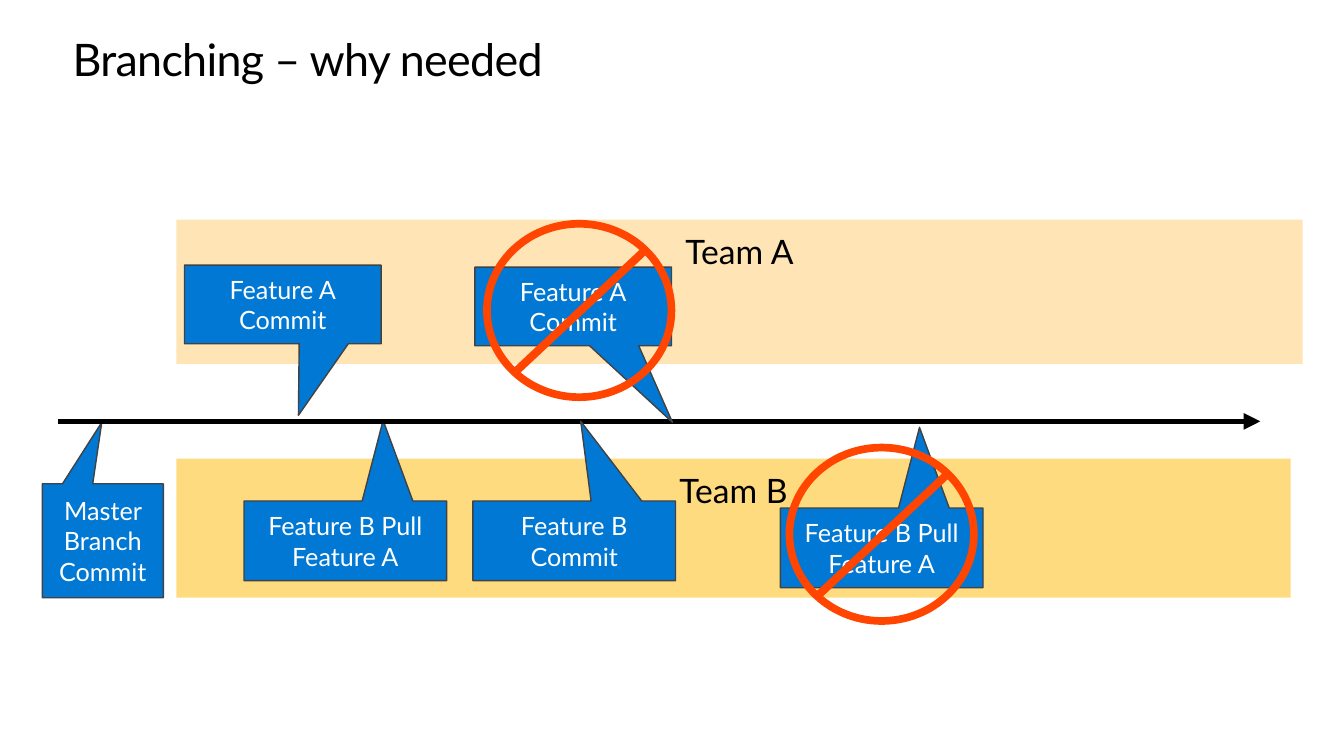
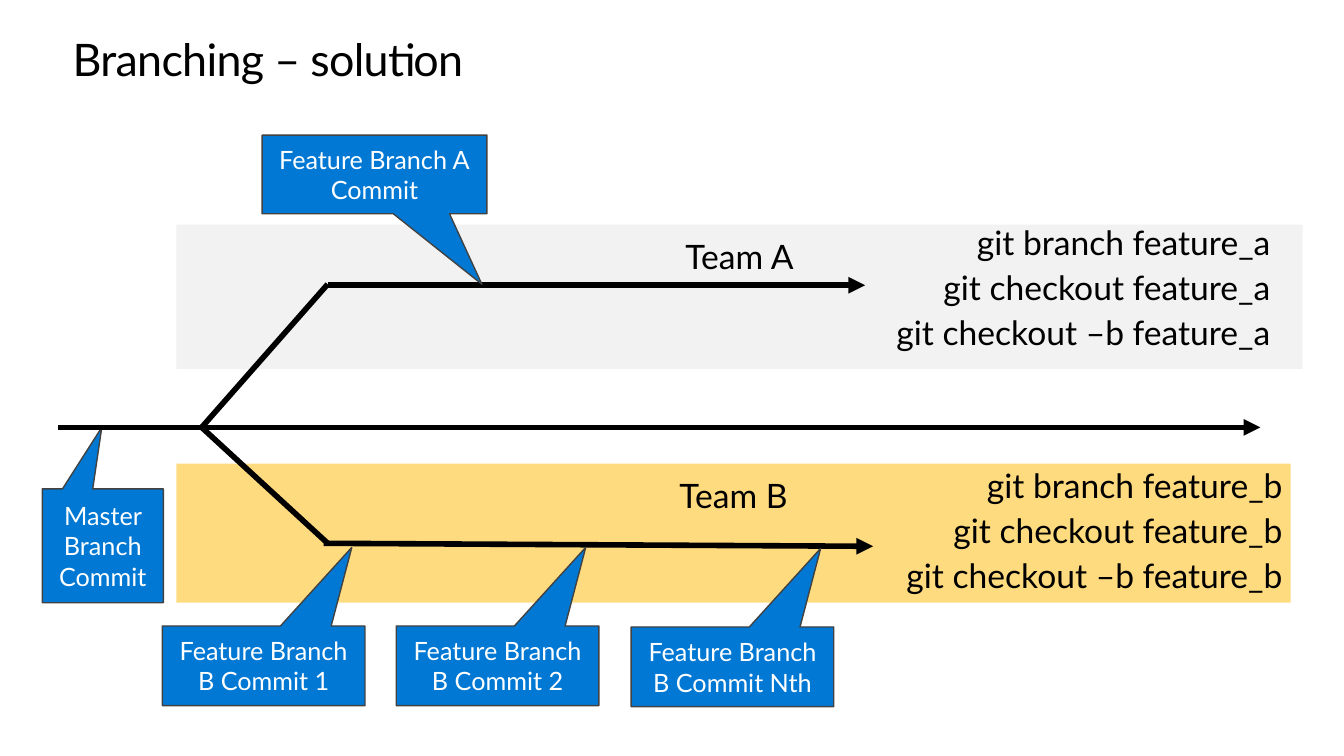
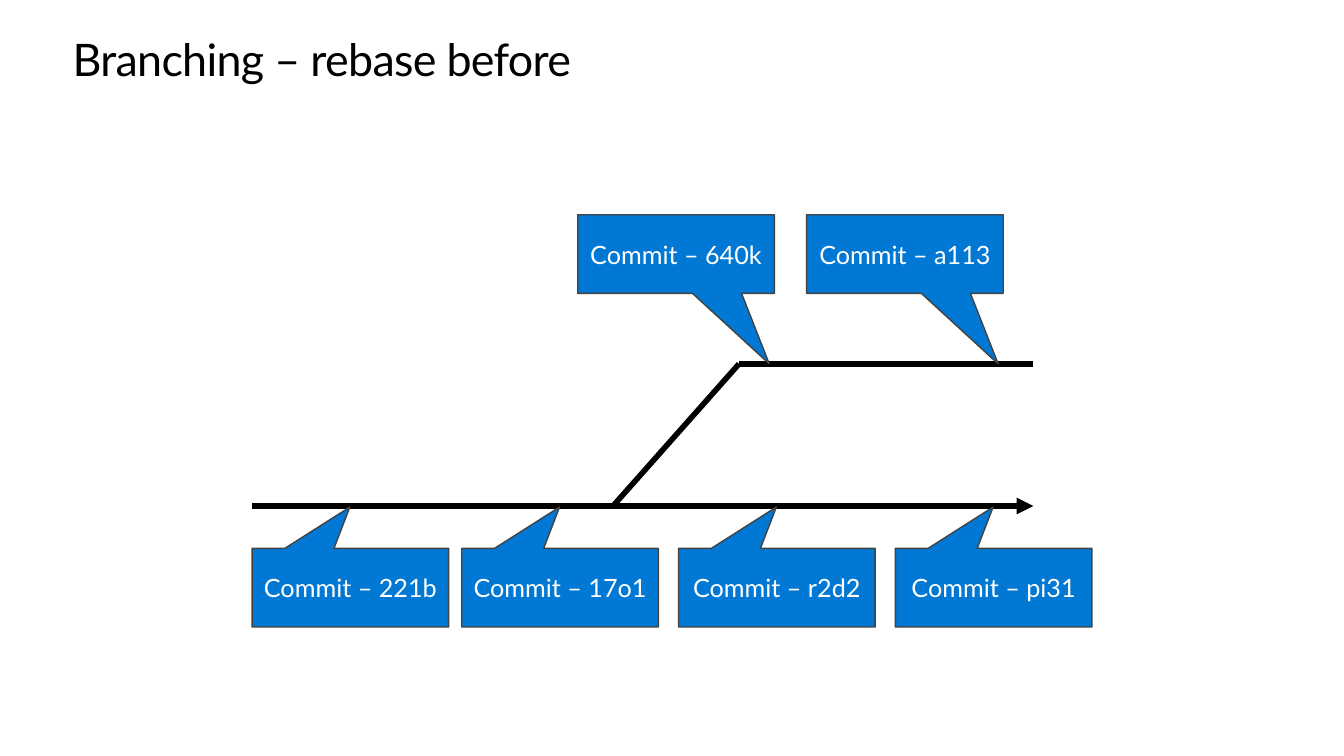
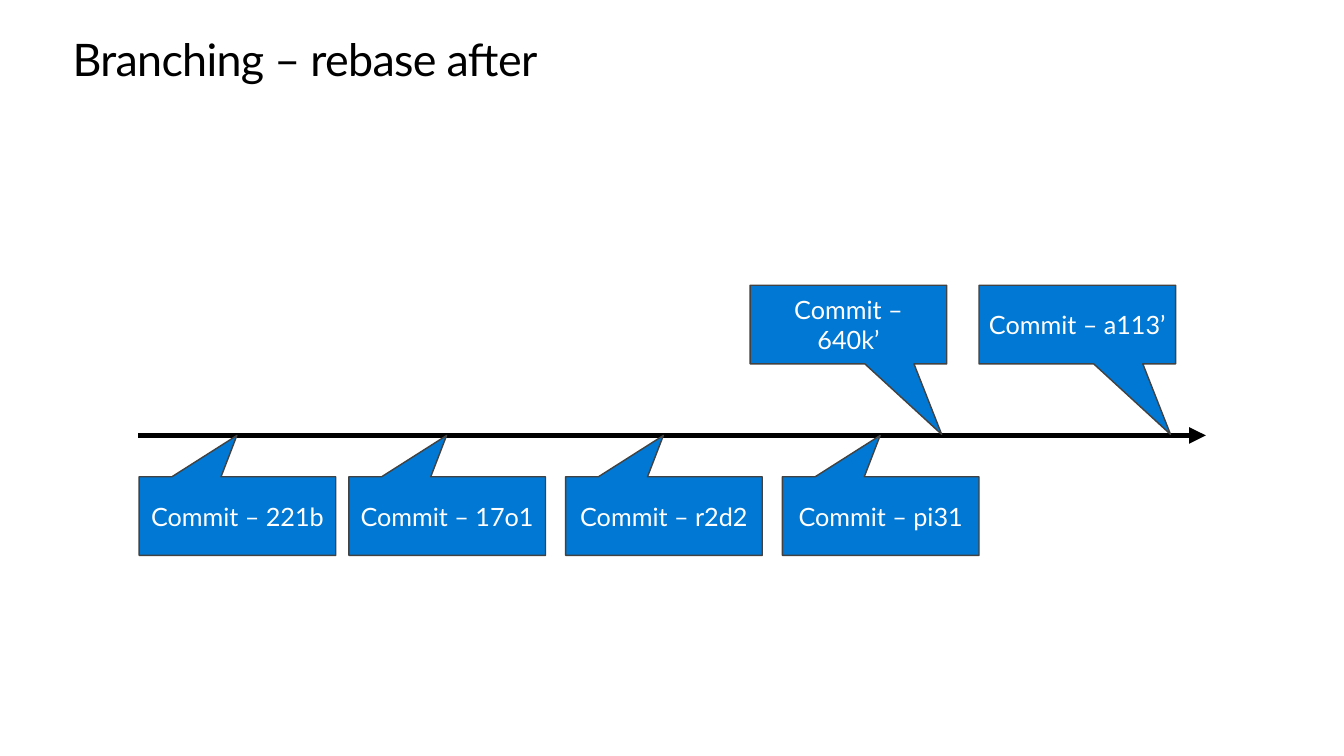
from dataclasses import dataclass

from lxml import etree
from pptx import Presentation
from pptx.dml.color import RGBColor
from pptx.enum.shapes import MSO_CONNECTOR, MSO_SHAPE
from pptx.enum.text import MSO_ANCHOR, MSO_AUTO_SIZE, PP_ALIGN
from pptx.oxml.ns import qn
from pptx.util import Pt

RECTANGLE, ELLIPSE = MSO_SHAPE.RECTANGLE, MSO_SHAPE.OVAL
CALLOUT = MSO_SHAPE.RECTANGULAR_CALLOUT
STRAIGHT = MSO_CONNECTOR.STRAIGHT
TOP, MIDDLE = MSO_ANCHOR.TOP, MSO_ANCHOR.MIDDLE
LEFT, CENTER, RIGHT = PP_ALIGN.LEFT, PP_ALIGN.CENTER, PP_ALIGN.RIGHT
FIT_SHAPE = MSO_AUTO_SIZE.SHAPE_TO_FIT_TEXT

EMU_PER_PX = 9144  # 100 px to the inch
WIDE_INSETS = (20, 16)
CALLOUT_INSETS = (10, 5)


@dataclass(frozen=True)
class Theme:
    font: str = "Lato"
    text: str = "000000"
    on_callout: str = "FFFFFF"
    callout: str = "0078D4"
    callout_line: str = "414241"
    timeline: str = "000000"
    stop: str = "FF4500"
    cream: str = "FFE4B5"
    amber: str = "FFB900"
    grey: str = "E6E6E6"
    title_size: int = 32
    body_size: int = 24
    callout_size: int = 18
    title_leading: float = 36.2
    outline: float = 1
    timeline_width: float = 4
    ring_width: float = 5.5
    slash_width: float = 5.75


def px(*lengths):
    return [round(length * EMU_PER_PX) for length in lengths]


class Deck:
    def __init__(self, theme):
        self.theme = theme
        self.prs = Presentation()
        self.prs.slide_width, self.prs.slide_height = px(1333, 750)
        self.slide = None

    def new_slide(self):
        self.slide = self.prs.slides.add_slide(self.prs.slide_layouts[6])

    # Shared building blocks
    def set_text(self, shape, lines, size, color, align=CENTER, anchor=TOP,
                 insets=WIDE_INSETS, leading=None, after=None, tracking=None):
        frame = shape.text_frame
        frame.word_wrap = True
        frame.vertical_anchor = anchor
        frame.margin_left, frame.margin_top = px(*insets)
        frame.margin_right, frame.margin_bottom = px(*insets)
        for index, line in enumerate(lines):
            paragraph = frame.add_paragraph() if index else frame.paragraphs[0]
            paragraph.alignment = align
            if leading:
                paragraph.line_spacing = leading
            if after:
                paragraph.space_after = Pt(after)
            run = paragraph.add_run()
            run.text = line
            run.font.name = self.theme.font
            run.font.size = Pt(size)
            run.font.color.rgb = RGBColor.from_string(color)
            if tracking:
                run.font._element.set("spc", str(tracking))
        return frame

    def shape(self, kind, box, fill=None, line=None, width=None, parent=None):
        shape = (parent or self.slide).shapes.add_shape(kind, *px(*box))
        shape.shadow.inherit = False
        if fill:
            shape.fill.solid()
            shape.fill.fore_color.rgb = RGBColor.from_string(fill)
        else:
            shape.fill.background()
        if line:
            shape.line.color.rgb = RGBColor.from_string(line)
            shape.line.width = Pt(width)
        else:
            shape.line.fill.background()
        return shape

    def line(self, start, end, color=None, width=None, arrow=False, parent=None):
        line = (parent or self.slide).shapes.add_connector(STRAIGHT, *px(*start, *end))
        line.line.color.rgb = RGBColor.from_string(color or self.theme.timeline)
        line.line.width = Pt(width or self.theme.timeline_width)
        properties = line._element.spPr
        if arrow:
            etree.SubElement(properties.find(qn("a:ln")), qn("a:tailEnd"), type="triangle")
        etree.SubElement(properties, qn("a:effectLst"))

    # Slide elements
    def heading(self, title):
        box = self.slide.shapes.add_textbox(*px(72, 35, 1190, 50))
        self.set_text(box, [title], self.theme.title_size, self.theme.text, LEFT,
                      insets=(0, 0), leading=Pt(self.theme.title_leading), tracking=-50)

    def band(self, box, label, color, translucent=True):
        band = self.shape(RECTANGLE, box, color)
        if translucent:
            swatch = band._element.spPr.find(qn("a:solidFill"))[0]
            etree.SubElement(swatch, qn("a:alpha"), val="50000")
        self.set_text(band, [label], self.theme.body_size, self.theme.text, leading=0.9)

    def callout(self, box, tip, *lines):
        """Place a callout whose pointer ends at the point tip."""
        theme = self.theme
        left, top, width, height = box
        callout = self.shape(CALLOUT, box, theme.callout, theme.callout_line, theme.outline)
        callout.adjustments[0] = (tip[0] - left) / width - 0.5
        callout.adjustments[1] = (tip[1] - top) / height - 0.5
        self.set_text(callout, lines, theme.callout_size, theme.on_callout,
                      anchor=MIDDLE, insets=CALLOUT_INSETS)

    def stop_sign(self, left, top):
        theme = self.theme
        sign = self.slide.shapes.add_group_shape()
        self.shape(ELLIPSE, (left, top, 183, 172), None, theme.stop, theme.ring_width, sign)
        self.line((left + 27, top + 148), (left + 157, top + 26),
                  theme.stop, theme.slash_width, parent=sign)

    def commands(self, box, branch):
        text = self.slide.shapes.add_textbox(*px(*box))
        lines = [f"git {command} {branch}" for command in ("branch", "checkout", "checkout –b")]
        frame = self.set_text(text, lines, self.theme.body_size, self.theme.text,
                              RIGHT, leading=0.9, after=6)
        frame.word_wrap = False
        frame.auto_size = FIT_SHAPE

    def team_slide(self, title, shift, team_a_color, translucent):
        """Start a slide with both team bands and the first commit."""
        self.new_slide()
        self.band((175, 218 + shift, 1117, 143), "Team A", team_a_color, translucent)
        self.band((175, 455 + shift, 1105, 138), "Team B", self.theme.amber)
        self.heading(title)
        self.callout((42, 480 + shift, 120, 113), (101, 419 + shift), "Master Branch Commit")

    def commits(self, hashes, lefts, top, tip_dx, tip_dy):
        for commit, left in zip(hashes, lefts):
            self.callout((left, top, 195, 78), (left + tip_dx, top + tip_dy),
                         f"Commit – {commit}")

    def rebase_commits(self, master_left, master_top, feature_left, feature_top, mark=""):
        """Show the feature commits above and the master commits below."""
        self.commits([name + mark for name in ("640k", "a113")],
                     (feature_left, feature_left + 227), feature_top, 190, 148)
        self.commits(("221b", "17o1", "r2d2", "pi31"),
                     [master_left + step for step in (0, 208, 423, 638)],
                     master_top, 97, -41)


def why_needed(deck):
    deck.team_slide("Branching – why needed", 0, deck.theme.cream, False)
    pull = "Feature B Pull Feature A"
    deck.callout((242, 497, 201, 79), (380, 417), pull)
    deck.line((58, 418), (1250, 418), arrow=True)
    deck.callout((183, 263, 195, 78), (296, 412), "Feature A", "Commit")
    deck.callout((471, 265, 195, 78), (667, 419), "Feature A", "Commit")
    deck.callout((774, 504, 201, 79), (912, 424), pull)
    deck.stop_sign(483, 222)
    deck.stop_sign(783, 444)
    deck.callout((469, 497, 201, 79), (576, 418), "Feature B Commit")


def solution(deck):
    deck.team_slide("Branching – solution", 5, deck.theme.grey, True)
    # Main line and the two branches
    fork = (200, 424)
    deck.line((58, 424), (1250, 424), arrow=True)
    deck.line(fork, (325, 282))
    deck.line(fork, (325, 539))
    deck.line((325, 283), (858, 283), arrow=True)
    deck.line((321, 539), (866, 542), arrow=True)
    # Commits on the branches
    deck.callout((260, 134, 223, 78), (478, 282), "Feature Branch A", "Commit")
    for left, top, number in ((161, 621, "1"), (393, 621, "2"), (626, 622, "Nth")):
        deck.callout((left, top, 201, 79), (left + 188, top - 78),
                     f"Feature Branch B Commit {number}")
    deck.commands((866, 209, 414, 158), "feature_a")
    deck.commands((875, 450, 417, 158), "feature_b")


def rebase_before(deck):
    deck.new_slide()
    deck.heading("Branching – rebase before")
    deck.line((250, 502), (1025, 502), arrow=True)
    deck.line((608, 502), (733, 361))
    deck.line((733, 361), (1025, 361))
    deck.rebase_commits(250, 544, 573, 213)


def rebase_after(deck):
    deck.new_slide()
    deck.heading("Branching – rebase after")
    deck.line((137, 432), (912, 432))
    deck.line((904, 432), (1196, 432), arrow=True)
    deck.rebase_commits(138, 473, 744, 283, "’")


def main():
    deck = Deck(Theme())
    for build in (why_needed, solution, rebase_before, rebase_after):
        build(deck)
    deck.prs.save("out.pptx")


if __name__ == "__main__":
    main()
